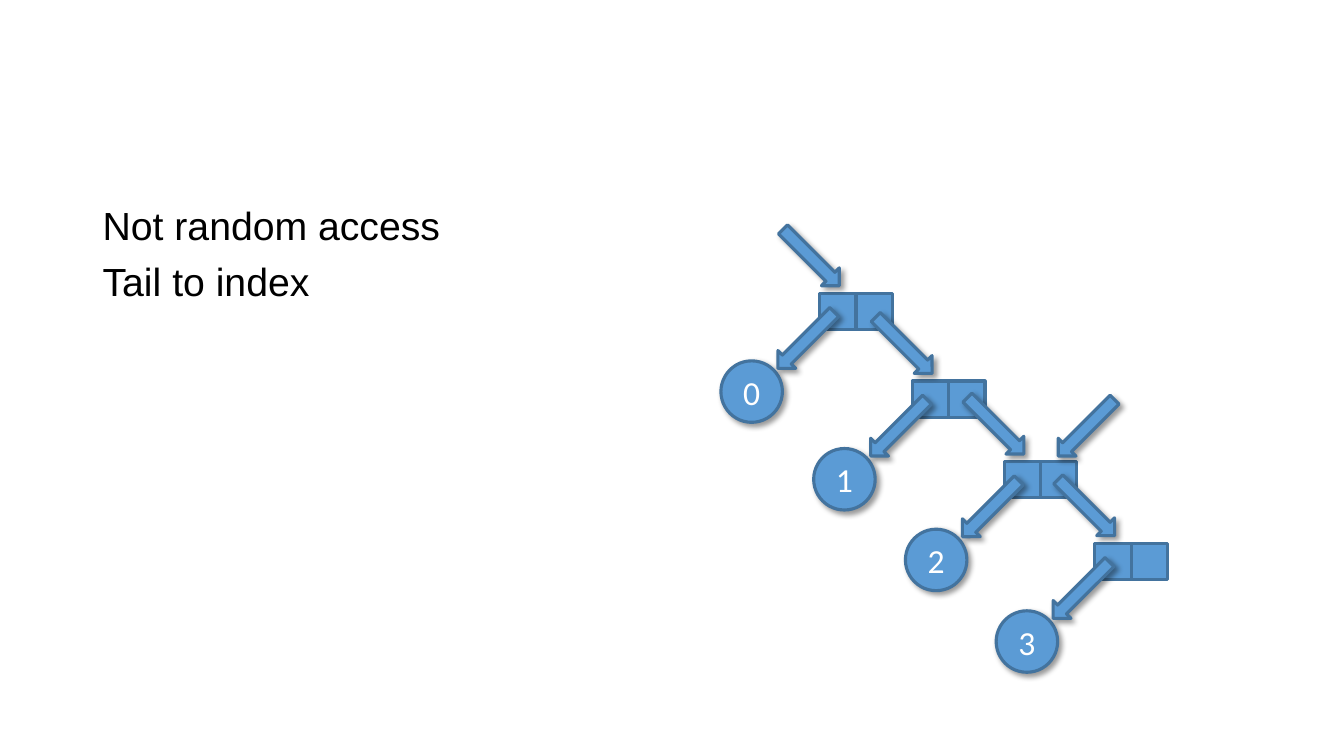
from dataclasses import dataclass

from lxml import etree
from pptx import Presentation
from pptx.dml.color import RGBColor
from pptx.enum.shapes import MSO_SHAPE
from pptx.enum.text import MSO_ANCHOR, PP_ALIGN
from pptx.oxml.ns import qn
from pptx.util import Inches, Pt

RECTANGLE = MSO_SHAPE.RECTANGLE
OVAL = MSO_SHAPE.OVAL
RIGHT_ARROW = MSO_SHAPE.RIGHT_ARROW
MIDDLE = MSO_ANCHOR.MIDDLE
CENTER = PP_ALIGN.CENTER

CELL = 0.36
CIRCLE = 0.61
ARROW_WIDTH, ARROW_HEIGHT = 0.79, 0.25
DOWN_RIGHT, DOWN_LEFT = 45, 135


@dataclass(frozen=True)
class Theme:
    fill: RGBColor = RGBColor(0x5B, 0x9B, 0xD5)
    outline: RGBColor = RGBColor(0x43, 0x73, 0x9E)
    body_color: RGBColor = RGBColor(0, 0, 0)
    label_color: RGBColor = RGBColor(255, 255, 255)
    shadow_color: str = "000000"
    body_font: str = "Arial"
    label_font: str = "Calibri"
    body_size: int = 28
    label_size: int = 24
    line_width: float = 2.25


class ListDiagram:
    """Draws the parts of a linked list on one slide."""

    def __init__(self, slide, theme):
        self.slide = slide
        self.theme = theme

    def format_runs(self, paragraph, font_name, size, color):
        for run in paragraph.runs:
            run.font.name = font_name
            run.font.size = Pt(size)
            run.font.color.rgb = color

    def add_body(self, left, top, width, height, lines):
        text_box = self.slide.shapes.add_textbox(
            Inches(left), Inches(top), Inches(width), Inches(height))
        text_frame = text_box.text_frame
        text_frame.word_wrap = True
        text_frame.text = "\n".join(lines)
        for paragraph in text_frame.paragraphs:
            paragraph.line_spacing = 0.9
            paragraph.space_before = Pt(10)
            self.format_runs(paragraph, self.theme.body_font,
                             self.theme.body_size, self.theme.body_color)

    def add_block(self, shapes, kind, left, top, width, height):
        shape = shapes.add_shape(
            kind, Inches(left), Inches(top), Inches(width), Inches(height))
        shape.shadow.inherit = False
        shape.fill.solid()
        shape.fill.fore_color.rgb = self.theme.fill
        shape.line.color.rgb = self.theme.outline
        shape.line.width = Pt(self.theme.line_width)
        return shape

    def add_shadow(self, shape):
        effects = shape._element.spPr.find(qn("a:effectLst"))
        shadow = etree.SubElement(
            effects, qn("a:outerShdw"), blurRad=str(Pt(4)), dist=str(Pt(3)),
            dir=str(45 * 60000), algn="tl", rotWithShape="0")
        color = etree.SubElement(shadow, qn("a:srgbClr"), val=self.theme.shadow_color)
        etree.SubElement(color, qn("a:alpha"), val="40000")

    def add_pair(self, left, top):
        group = self.slide.shapes.add_group_shape()
        for column in range(2):
            self.add_block(group.shapes, RECTANGLE, left + column * CELL, top, CELL, CELL)

    def add_value(self, left, top, label):
        circle = self.add_block(self.slide.shapes, OVAL, left, top, CIRCLE, CIRCLE)
        self.add_shadow(circle)
        text_frame = circle.text_frame
        text_frame.text = label
        text_frame.vertical_anchor = MIDDLE
        paragraph = text_frame.paragraphs[0]
        paragraph.alignment = CENTER
        self.format_runs(paragraph, self.theme.label_font,
                         self.theme.label_size, self.theme.label_color)

    def add_arrow(self, left, top, angle):
        arrow = self.add_block(self.slide.shapes, RIGHT_ARROW,
                               left, top, ARROW_WIDTH, ARROW_HEIGHT)
        arrow.rotation = angle
        self.add_shadow(arrow)

    def add_node(self, left, top, label):
        self.add_pair(left, top)
        self.add_arrow(left - 0.48, top - 0.48, DOWN_RIGHT)
        self.add_value(left - 0.98, top + 0.67, label)
        self.add_arrow(left - 0.53, top + 0.34, DOWN_LEFT)


def main():
    presentation = Presentation()
    presentation.slide_width = Inches(13.33)
    presentation.slide_height = Inches(7.5)
    slide = presentation.slides.add_slide(presentation.slide_layouts[6])
    diagram = ListDiagram(slide, Theme())

    # Statements on the left
    diagram.add_body(0.92, 2, 11.5, 4.76, ["Not random access", "Tail to index"])

    # Chain of nodes, each with its incoming arrow and its value
    nodes = [(8.13, 2.91), (9.05, 3.78), (9.96, 4.58), (10.86, 5.39)]
    for index, (left, top) in enumerate(nodes):
        diagram.add_node(left, top, str(index))

    # Second reference, into the tail that starts at node 2
    tail_left, tail_top = nodes[2]
    diagram.add_arrow(tail_left + 0.42, tail_top - 0.46, DOWN_LEFT)

    presentation.save("out.pptx")


if __name__ == "__main__":
    main()
